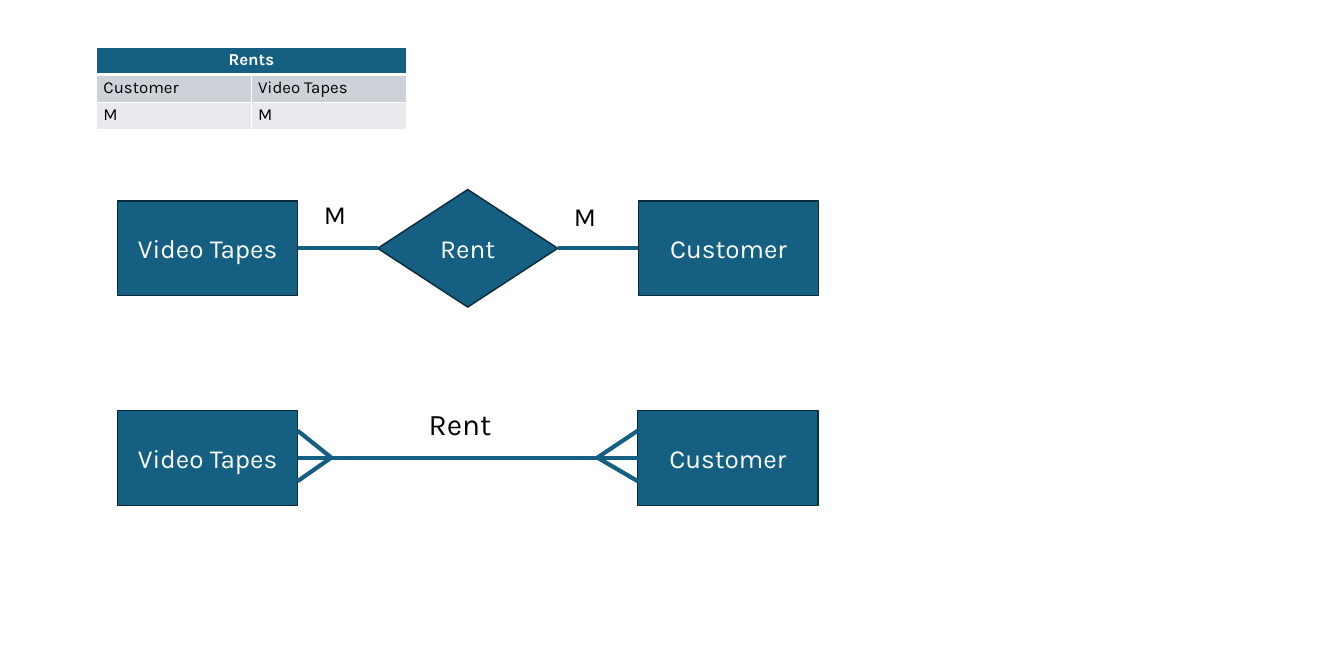
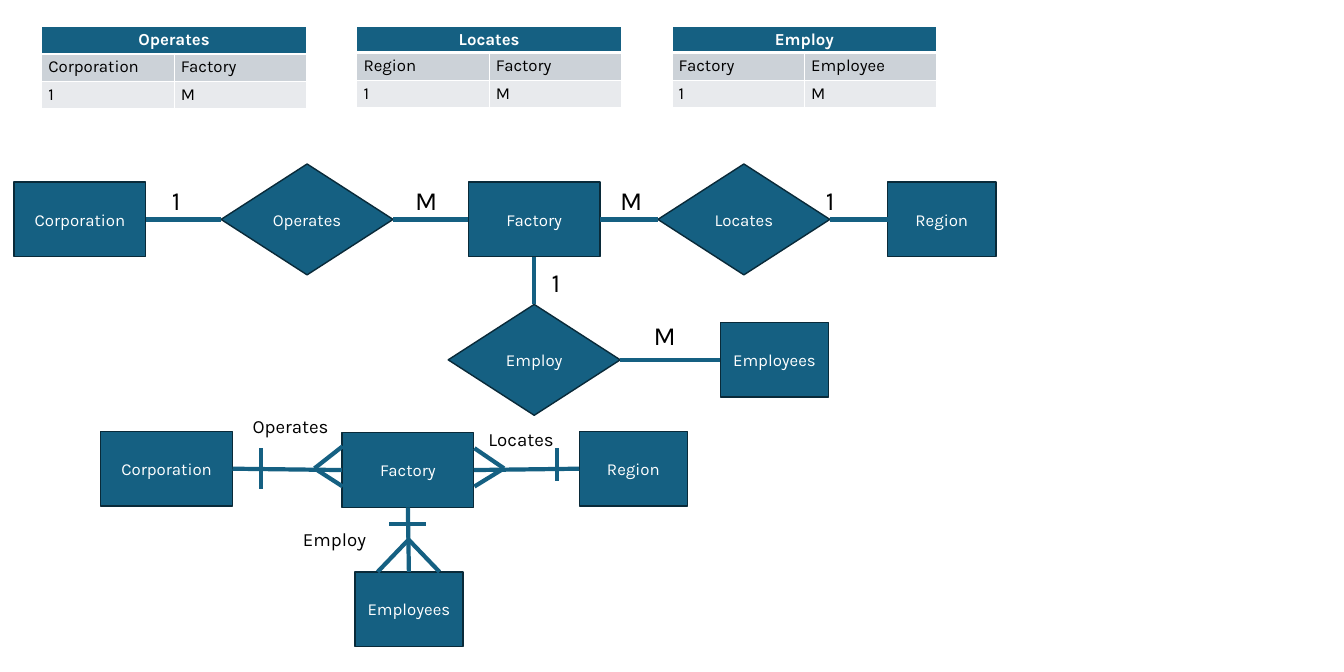
from dataclasses import dataclass
from typing import Any

from lxml.etree import SubElement
from pptx import Presentation
from pptx.dml.color import RGBColor
from pptx.enum.shapes import MSO_CONNECTOR, MSO_SHAPE
from pptx.enum.text import MSO_ANCHOR, MSO_AUTO_SIZE, PP_ALIGN
from pptx.oxml.ns import qn
from pptx.util import Emu, Pt

EMU_PER_PX = 9144
COLORS = {
    "main": "156082",
    "outline": "092A39",
    "band_dark": "CCD2D8",
    "band_light": "E8EAED",
    "white": "FFFFFF",
    "ink": "000000",
}
FONT = "Karla"
TOP, LEFT, BOTTOM, RIGHT = range(4)


def px(length):
    return Emu(length * EMU_PER_PX)


def color(name):
    return RGBColor.from_string(COLORS[name])


def apply(target, **formats):
    for name, value in formats.items():
        setattr(target, name, value)


def write(frame, text, size, ink, bold=False, align=PP_ALIGN.LEFT):
    paragraph = frame.paragraphs[0]
    paragraph.alignment = align
    run = paragraph.add_run()
    run.text = text
    apply(run.font, name=FONT, size=Pt(size), bold=bold)
    run.font.color.rgb = color(ink)


@dataclass
class Region:
    slide: Any
    left: int
    top: int
    width: int = 0
    height: int = 0

    def point(self, x, y):
        return px(self.left + x), px(self.top + y)

    def node(self, preset, text, x, y, width, height, size):
        node = self.slide.shapes.add_shape(
            preset, *self.point(x, y), px(width), px(height))
        node.shadow.inherit = False
        node.fill.solid()
        node.fill.fore_color.rgb = color("main")
        node.line.color.rgb = color("outline")
        node.line.width = Pt(1.5)
        apply(node.text_frame, word_wrap=True, vertical_anchor=MSO_ANCHOR.MIDDLE)
        write(node.text_frame, text, size, "white", align=PP_ALIGN.CENTER)
        return node

    def entity(self, text, x, y, width, height, size=18):
        return self.node(MSO_SHAPE.RECTANGLE, text, x, y, width, height, size)

    def relation(self, text, x, y, width, height, size=18):
        return self.node(MSO_SHAPE.DIAMOND, text, x, y, width, height, size)

    def label(self, text, x, y, width, height, size):
        box = self.slide.shapes.add_textbox(
            *self.point(x, y), px(width), px(height))
        apply(box.text_frame, word_wrap=True,
              auto_size=MSO_AUTO_SIZE.SHAPE_TO_FIT_TEXT)
        write(box.text_frame, text, size, "ink")

    def stroke(self, start, end):
        stroke = self.slide.shapes.add_connector(
            MSO_CONNECTOR.STRAIGHT, *self.point(*start), *self.point(*end))
        stroke.line.color.rgb = color("main")
        stroke.line.width = Pt(4.5)
        SubElement(stroke._element.spPr, qn("a:effectLst"))
        return stroke

    def link(self, first, first_side, second, second_side):
        link = self.stroke((0, 0), (0, 0))
        link.begin_connect(first, first_side)
        link.end_connect(second, second_side)

    def crow_foot(self, tip, *toes):
        for toe in toes:
            self.stroke(tip, toe)


def set_borders(cell, bottom):
    properties = cell._tc.get_or_add_tcPr()
    for side, points in (("L", 1), ("R", 1), ("T", 1), ("B", bottom)):
        border = SubElement(properties, qn(f"a:ln{side}"), w=str(Pt(points)))
        fill = SubElement(border, qn("a:solidFill"))
        SubElement(fill, qn("a:srgbClr"), val=COLORS["white"])


def cardinality_table(region, heading, entities, marks, heading_height=41):
    row_heights = (heading_height, 41, 41)
    table = region.slide.shapes.add_table(
        3, 2, *region.point(0, 0), px(region.width), px(sum(row_heights))).table
    for column in table.columns:
        column.width = px(region.width // 2)
    table.cell(0, 0).merge(table.cell(0, 1))
    rows = ((heading, ""), entities, marks)
    fills = ("main", "band_dark", "band_light")
    for r, (texts, fill, height) in enumerate(zip(rows, fills, row_heights)):
        table.rows[r].height = px(height)
        is_heading = r == 0
        for c, text in enumerate(texts):
            cell = table.cell(r, c)
            set_borders(cell, 3 if is_heading else 1)
            cell.fill.solid()
            cell.fill.fore_color.rgb = color(fill)
            if text:
                write(cell.text_frame, text, 18,
                      "white" if is_heading else "ink", is_heading,
                      PP_ALIGN.CENTER if is_heading else PP_ALIGN.LEFT)


def rent_entities(region):
    width, height = 268, 141
    y = (region.height - height) // 2
    return [region.entity(text, x, y, width, height, 28)
            for text, x in (("Video Tapes", 0),
                            ("Customer", region.width - width))]


def rent_chen(region):
    tapes, customer = rent_entities(region)
    rent = region.relation("Rent", (region.width - 268) // 2, 0,
                           268, region.height, 28)
    region.link(tapes, RIGHT, rent, LEFT)
    region.link(rent, RIGHT, customer, LEFT)
    for x, y in ((297, 9), (669, 11)):
        region.label("M", x, y, 106, 57, 28)


def rent_crow(region):
    tapes, customer = rent_entities(region)
    region.link(tapes, RIGHT, customer, LEFT)
    region.label("Rent", 453, -13, 216, 64, 32)
    for tip_x, toe_x in ((318, 268), (714, 774)):
        region.crow_foot((tip_x, 70), (toe_x, 30), (toe_x, 105))


def factory_chen(region):
    corporation = region.entity("Corporation", 0, 27, 196, 111)
    operates = region.relation("Operates", 308, 0, 256, 165)
    factory = region.entity("Factory", 676, 27, 196, 111)
    locates = region.relation("Locates", 958, 0, 256, 165)
    place = region.entity("Region", 1300, 27, 161, 111)
    employ = region.relation("Employ", 646, 209, 256, 165)
    employees = region.entity("Employees", 1051, 236, 161, 111)
    row = (corporation, operates, factory, locates, place)
    for first, second in (*zip(row, row[1:]), (employ, employees)):
        region.link(first, RIGHT, second, LEFT)
    region.link(factory, BOTTOM, employ, TOP)
    for mark, x, y in (("1", 225, 25), ("M", 587, 25), ("M", 892, 25),
                       ("1", 1198, 25), ("M", 942, 227), ("1", 790, 147)):
        region.label(mark, x, y, 66, 57, 28)


def factory_crow(region):
    corporation = region.entity("Corporation", 0, 0, 196, 111)
    factory = region.entity("Factory", 359, 2, 196, 111)
    place = region.entity("Region", 712, 0, 161, 111)
    employees = region.entity("Employees", 378, 209, 161, 111)
    region.link(corporation, RIGHT, factory, LEFT)
    region.link(factory, RIGHT, place, LEFT)
    region.link(factory, BOTTOM, employees, TOP)
    region.crow_foot((318, 55), (360, 22), (360, 82))
    region.crow_foot((600, 55), (556, 25), (556, 82))
    region.crow_foot((458, 161), (504, 209), (412, 209))
    for start, end in (((238, 25), (238, 85)), ((679, 25), (679, 74)),
                       ((429, 138), (484, 138))):
        region.stroke(start, end)
    for text, x, y in (("Operates", 216, -30), ("Locates", 567, -10),
                       ("Employ", 291, 138)):
        region.label(text, x, y, 135, 44, 20)


def rent_slide(slide):
    cardinality_table(Region(slide, 144, 70, 460), "Rents",
                      ("Customer", "Video Tapes"), ("M", "M"))
    rent_chen(Region(slide, 175, 282, 1043, 175))
    rent_crow(Region(slide, 175, 611, 1042, 141))


def factory_slide(slide):
    tables = (("Operates", ("Corporation", "Factory"), 41),
              ("Locates", ("Region", "Factory"), 36),
              ("Employ", ("Factory", "Employee"), 36))
    for i, (heading, entities, heading_height) in enumerate(tables):
        cardinality_table(Region(slide, 62 + 469 * i, 39, 394), heading,
                          entities, ("1", "M"), heading_height)
    factory_chen(Region(slide, 21, 244, 1461, 374))
    factory_crow(Region(slide, 150, 642, 873, 320))


def main():
    deck = Presentation()
    apply(deck, slide_width=px(2000), slide_height=px(1000))
    for build in (rent_slide, factory_slide):
        build(deck.slides.add_slide(deck.slide_layouts[6]))
    deck.save("out.pptx")


if __name__ == "__main__":
    main()
